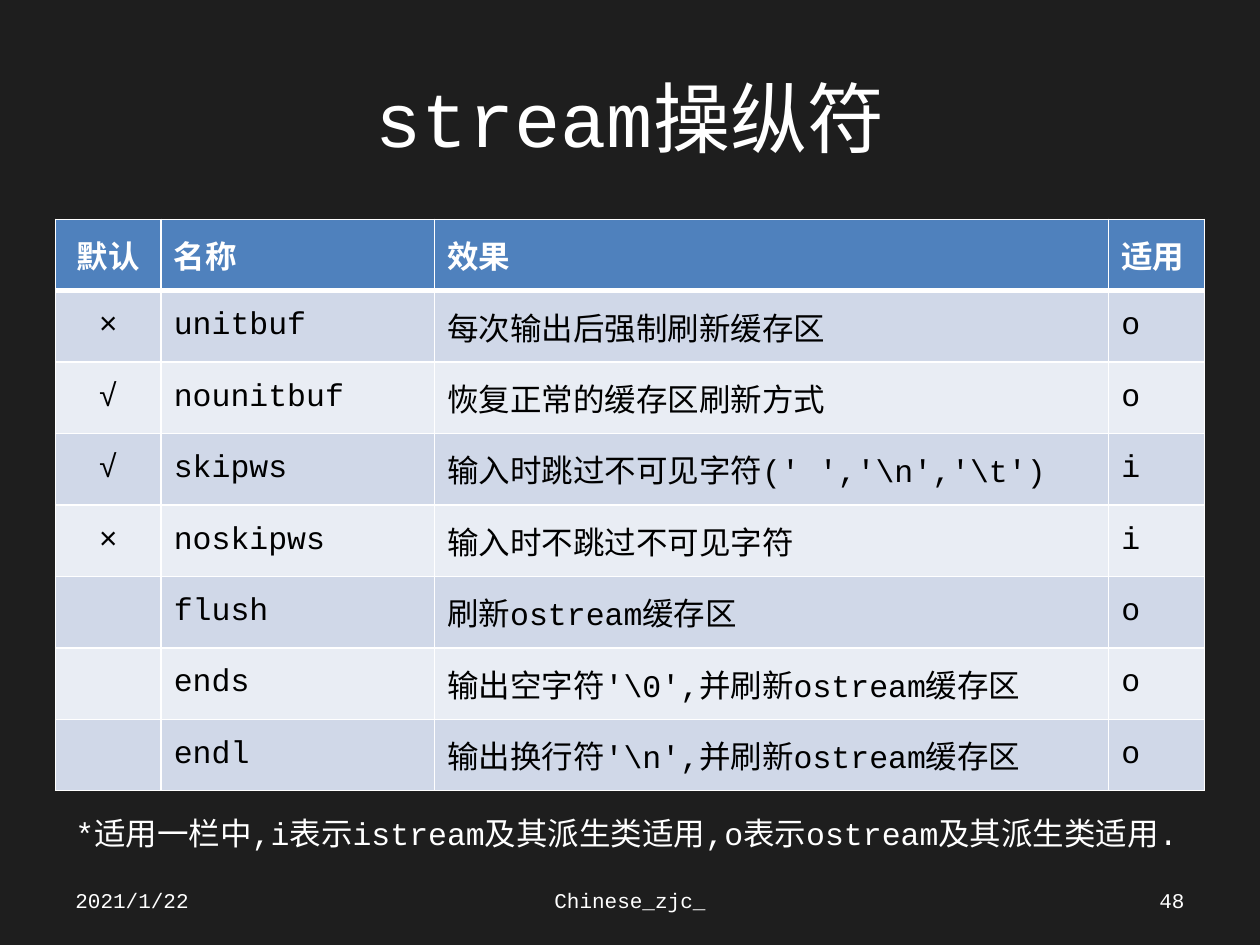
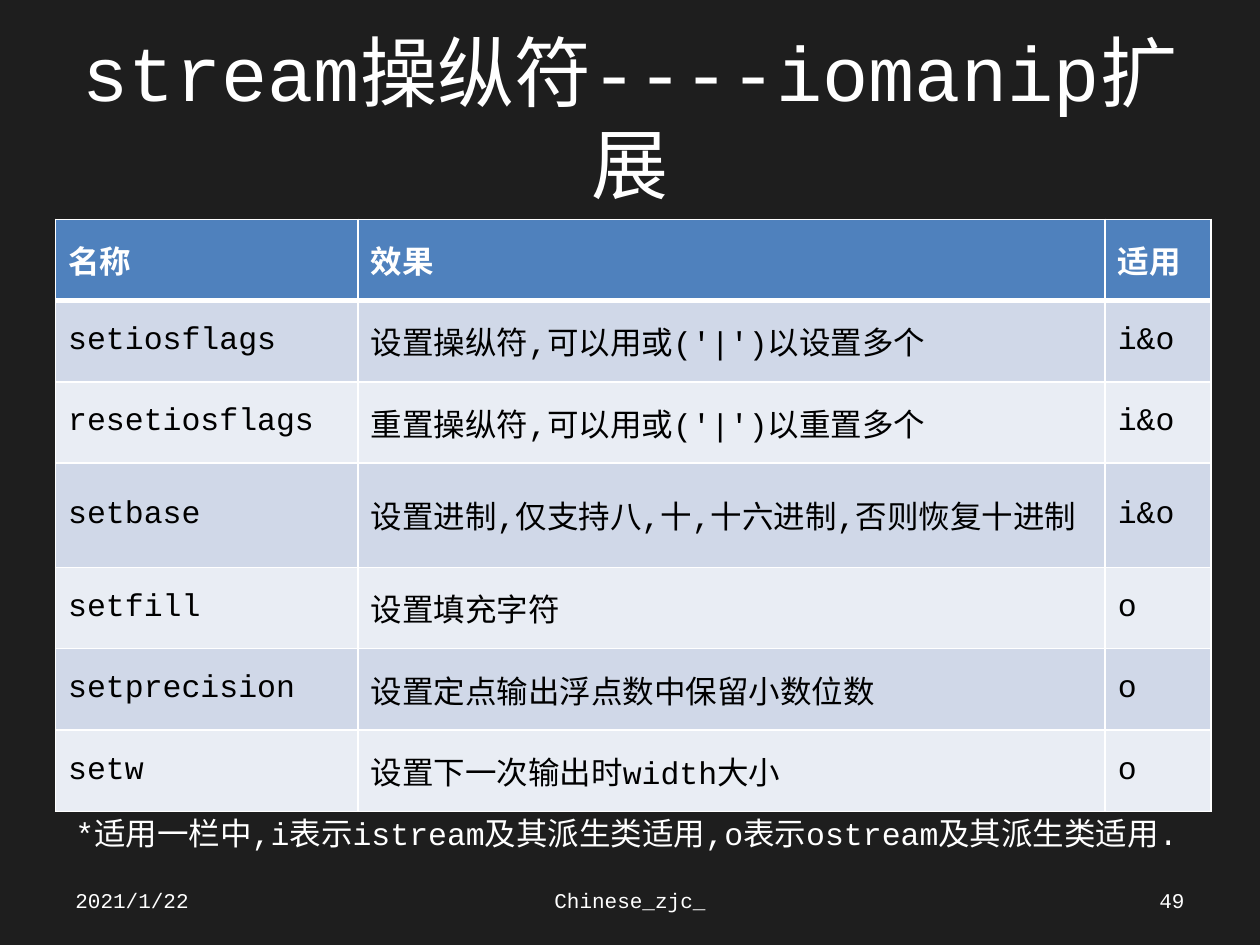
from pptx import Presentation
from pptx.dml.color import RGBColor
from pptx.enum.text import MSO_ANCHOR, MSO_AUTO_SIZE, PP_ALIGN
from pptx.oxml.ns import qn
from pptx.util import Cm, Pt
from lxml.etree import SubElement

BACKGROUND = RGBColor(0x1E, 0x1E, 0x1E)
WHITE = RGBColor(0xFF, 0xFF, 0xFF)
BLACK = RGBColor(0x00, 0x00, 0x00)
HEADER_BLUE = RGBColor(0x4F, 0x81, 0xBD)
BANDS = (RGBColor(0xE9, 0xED, 0xF4), RGBColor(0xD0, 0xD8, 0xE8))

TITLE_FONT = {"name": "Courier New", "size": Pt(44)}
TEXT_FONT = {"name": "Courier New", "size": Pt(18)}
FOOTER_FONT = {"name": "Courier New", "size": Pt(12)}

TABLE_LEFT, TABLE_TOP = 1.12, 4.42
DATE = "2021/1/22"
AUTHOR = "Chinese_zjc_"
NOTE = "*适用一栏中,i表示istream及其派生类适用,o表示ostream及其派生类适用."
FIRST_PAGE = 48

MANIPULATORS = [
    ("默认", "名称", "效果", "适用"),
    ("×", "unitbuf", "每次输出后强制刷新缓存区", "o"),
    ("√", "nounitbuf", "恢复正常的缓存区刷新方式", "o"),
    ("√", "skipws", r"输入时跳过不可见字符(' ','\n','\t')", "i"),
    ("×", "noskipws", "输入时不跳过不可见字符", "i"),
    ("", "flush", "刷新ostream缓存区", "o"),
    ("", "ends", r"输出空字符'\0',并刷新ostream缓存区", "o"),
    ("", "endl", r"输出换行符'\n',并刷新ostream缓存区", "o"),
]
IOMANIP = [
    ("名称", "效果", "适用"),
    ("setiosflags", "设置操纵符,可以用或('|')以设置多个", "i&o"),
    ("resetiosflags", "重置操纵符,可以用或('|')以重置多个", "i&o"),
    ("setbase", "设置进制,仅支持八,十,十六进制,否则恢复十进制", "i&o"),
    ("setfill", "设置填充字符", "o"),
    ("setprecision", "设置定点输出浮点数中保留小数位数", "o"),
    ("setw", "设置下一次输出时width大小", "o"),
]
# title, rows, column widths (cm), row height (cm), centred columns
PAGES = [
    ("stream操纵符", MANIPULATORS, (2.13, 5.51, 13.59, 1.93), 1.44, {0}),
    ("stream操纵符----iomanip扩展", IOMANIP, (6.1, 15.06, 2.13), 1.64, set()),
]


def write(frame, text, font, color=WHITE, align=PP_ALIGN.LEFT, bold=False):
    paragraph = frame.paragraphs[0]
    paragraph.alignment = align
    run = paragraph.add_run()
    run.text = text
    for attribute, value in font.items():
        setattr(run.font, attribute, value)
    run.font.bold = bold
    run.font.color.rgb = color


def add_title(slide, text):
    frame = slide.shapes.title.text_frame
    frame.auto_size = MSO_AUTO_SIZE.NONE
    write(frame, text, TITLE_FONT, align=PP_ALIGN.CENTER)


def add_label(slide, text, left, top, width, font, align=PP_ALIGN.LEFT,
              anchor=MSO_ANCHOR.MIDDLE):
    frame = slide.shapes.add_textbox(Cm(left), Cm(top), Cm(width), Cm(1.01)).text_frame
    frame.word_wrap = True
    frame.vertical_anchor = anchor
    write(frame, text, font, align=align)


def add_footer(slide, page):
    add_label(slide, DATE, 1.27, 17.65, 5.93, FOOTER_FONT)
    add_label(slide, AUTHOR, 8.68, 17.65, 8.04, FOOTER_FONT, PP_ALIGN.CENTER)
    add_label(slide, str(page), 18.2, 17.65, 5.93, FOOTER_FONT, PP_ALIGN.RIGHT)


def set_borders(cell, row):
    """Thin white lines, with a thick one between the header and the body."""
    properties = cell._tc.get_or_add_tcPr()
    top, bottom = 3 if row == 1 else 1, 3 if row == 0 else 1
    for side, points in (("L", 1), ("R", 1), ("T", top), ("B", bottom)):
        line = SubElement(properties, qn(f"a:ln{side}"), w=str(Pt(points)))
        fill = SubElement(line, qn("a:solidFill"))
        SubElement(fill, qn("a:srgbClr"), val=str(WHITE))


def add_manipulator_table(slide, rows, widths, row_height, centred):
    table = slide.shapes.add_table(
        len(rows), len(widths), Cm(TABLE_LEFT), Cm(TABLE_TOP),
        Cm(sum(widths)), Cm(row_height * len(rows))).table
    for column, width in zip(table.columns, widths):
        column.width = Cm(width)
    for r, texts in enumerate(rows):
        is_header = r == 0
        for c, text in enumerate(texts):
            cell = table.cell(r, c)
            cell.vertical_anchor = MSO_ANCHOR.MIDDLE
            set_borders(cell, r)
            cell.fill.solid()
            cell.fill.fore_color.rgb = HEADER_BLUE if is_header else BANDS[r % 2]
            if text:
                write(cell.text_frame, text, TEXT_FONT, WHITE if is_header else BLACK,
                      PP_ALIGN.CENTER if c in centred else PP_ALIGN.LEFT, is_header)


def main():
    prs = Presentation()
    prs.slide_width, prs.slide_height = Cm(25.4), Cm(19.05)
    background = prs.slide_master.background.fill
    background.solid()
    background.fore_color.rgb = BACKGROUND
    title_only = prs.slide_layouts[5]
    for page, (title, *table_content) in enumerate(PAGES, FIRST_PAGE):
        slide = prs.slides.add_slide(title_only)
        add_title(slide, title)
        add_manipulator_table(slide, *table_content)
        add_footer(slide, page)
        add_label(slide, NOTE, 1.27, 16.28, 23.16, TEXT_FONT, anchor=MSO_ANCHOR.TOP)
    prs.save("out.pptx")


if __name__ == "__main__":
    main()
